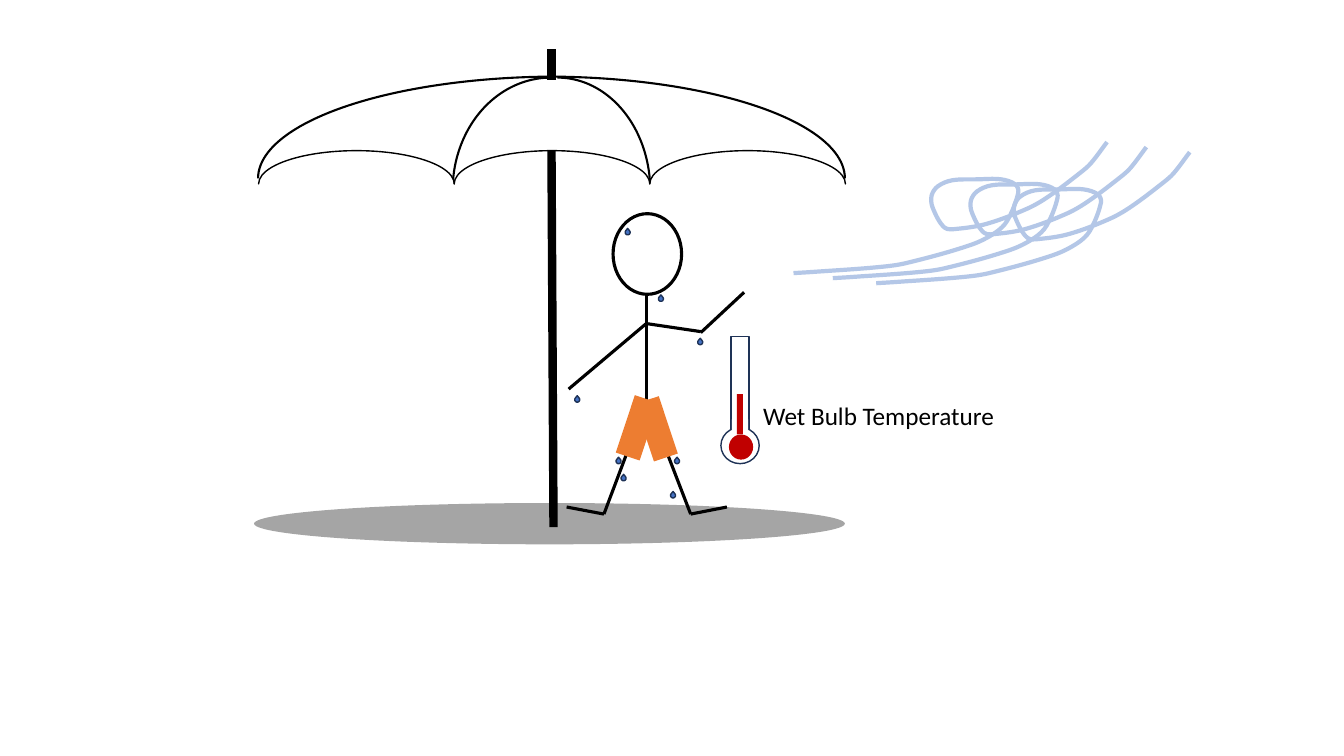
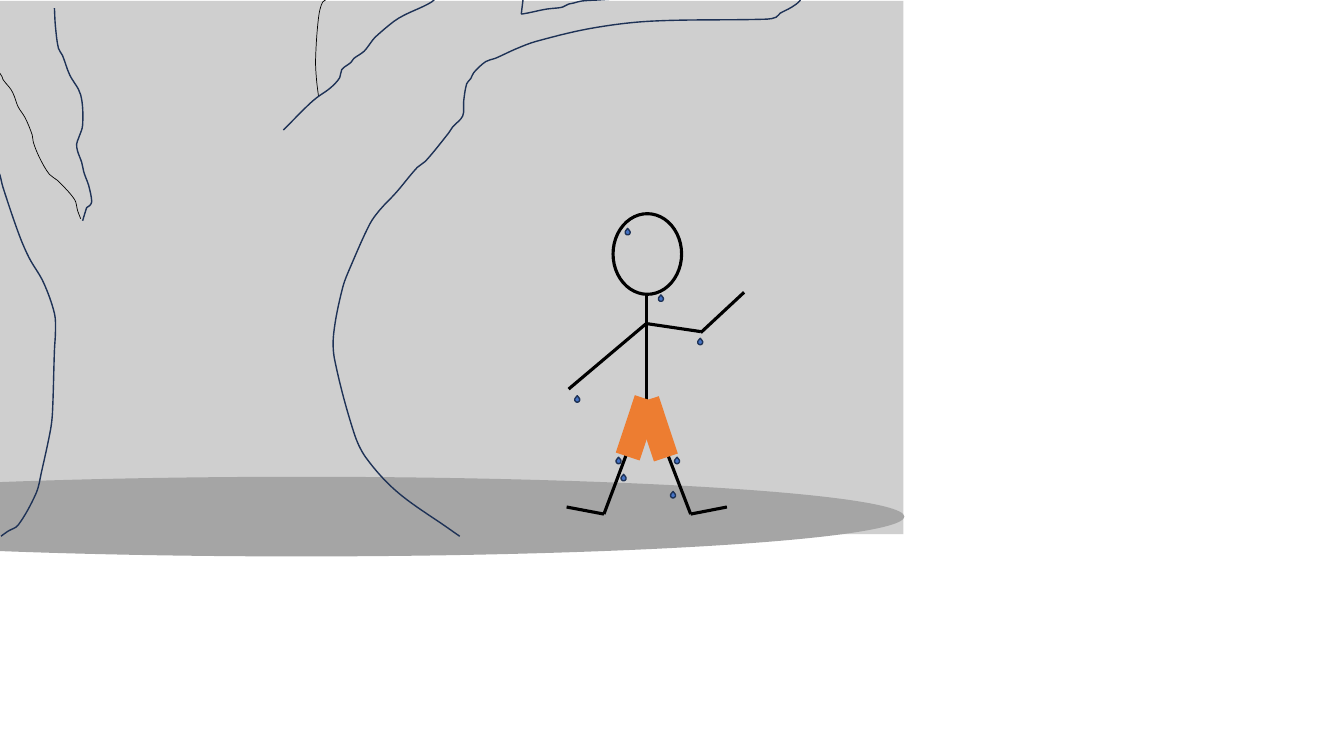
from dataclasses import dataclass
from math import dist

from lxml import etree
from pptx import Presentation
from pptx.dml.color import RGBColor
from pptx.enum import shapes, text
from pptx.oxml import ns
from pptx.util import Inches, Pt

KIND = shapes.MSO_SHAPE


@dataclass(frozen=True)
class Theme:
    black: str = "000000"
    white: str = "FFFFFF"
    ground: str = "A5A5A5"
    shade: str = "7F7F7F"
    shorts: str = "ED7D31"
    sweat: str = "4472C4"
    navy: str = "1E3256"
    wind: str = "B4C7E7"
    mercury: str = "C00000"
    font: str = "Calibri"
    label: float = 18
    hair: float = 0.5
    thin: float = 1
    rib: float = 1.5
    limb: float = 2.25
    gust: float = 3
    pole: float = 6


THEME = Theme()

SWEAT_DROPS = [(6.2, 2.28), (6.69, 4.55), (6.11, 4.55), (6.16, 4.72),
               (6.92, 3.37), (5.7, 3.94), (6.53, 2.94), (6.65, 4.89)]

LIMBS = [
    ((6.41, 2.92), (6.41, 4.04)),
    ((6.4, 4.01), (5.99, 5.1)), ((5.62, 5.03), (5.99, 5.1)),
    ((6.43, 4.01), (6.85, 5.1)), ((7.21, 5.03), (6.85, 5.1)),
]
ARMS = [((6.41, 3.21), (5.64, 3.86)), ((6.41, 3.21), (6.95, 3.29)),
        ((6.95, 3.3), (7.38, 2.9))]

GUST = [
    (10.98, 1.41), (10.82, 1.62), (10.72, 1.71), (10.4, 1.95), (10.19, 2.07),
    (9.79, 2.22), (9.5, 2.27), (9.37, 2.26), (9.25, 2.06), (9.24, 1.94),
    (9.3, 1.85), (9.44, 1.79), (9.69, 1.78), (9.93, 1.78), (10.07, 1.83),
    (10.1, 1.91), (9.99, 2.19), (9.87, 2.31), (9.63, 2.43), (8.99, 2.61),
    (8.72, 2.65), (8.04, 2.7), (7.87, 2.71),
]

TRUNK_RIGHT = [
    (4.56, 5.32), (4.46, 5.25), (3.94, 4.88), (3.63, 4.54), (3.51, 4.29),
    (3.32, 3.57), (3.31, 3.31), (3.4, 2.85), (3.48, 2.64),
    (3.67, 2.22), (3.77, 2.08), (3.93, 1.91), (4.14, 1.66), (4.22, 1.6),
    (4.45, 1.32), (4.49, 1.26), (4.59, 1.15), (4.6, 1), (4.63, 0.83),
    (4.67, 0.78), (4.7, 0.72), (4.82, 0.61), (4.91, 0.58), (5.13, 0.48),
    (5.32, 0.41), (5.87, 0.28), (6.46, 0.21), (7.61, 0.19), (7.7, 0.17),
    (7.74, 0.13), (7.82, 0.09), (7.9, 0.04), (7.94, 0),
]
TRUNK_LEFT = [
    (0.01, 5.32), (0.08, 5.27), (0.18, 5.21), (0.36, 4.89),
    (0.41, 4.69), (0.5, 4.27), (0.52, 4.1), (0.54, 3.47), (0.55, 3.29),
    (0.54, 3.11), (0.43, 2.8), (0.29, 2.56), (0.19, 2.33), (0.03, 1.86),
    (0, 1.74), (-0.02, 1.69), (-0.08, 1.47), (-0.1, 1.38), (-0.15, 1.28),
]
FORK_LEFT = [
    (0.8, 2.17), (0.77, 2.09), (0.74, 1.98), (0.57, 1.79), (0.49, 1.73),
    (0.39, 1.56), (0.33, 1.41), (0.32, 1.34), (0.25, 1.17), (0.18, 1.06),
    (0.14, 0.95), (0.11, 0.89), (0.03, 0.79), (0.02, 0.76), (-0.02, 0.7),
]
FORK_RIGHT = [
    (0.82, 2.19), (0.85, 2.09), (0.86, 2.06), (0.89, 2.04), (0.91, 2),
    (0.88, 1.84), (0.85, 1.76), (0.83, 1.7), (0.81, 1.61), (0.77, 1.5),
    (0.76, 1.43), (0.78, 1.37), (0.82, 1.24), (0.8, 0.94), (0.69, 0.74),
    (0.62, 0.55), (0.58, 0.48), (0.55, 0.26), (0.54, 0.08),
]
TWIG = [
    (3.16, 0.96), (3.14, 0.8), (3.13, 0.59), (3.16, 0.17), (3.2, 0.02),
    (3.26, -0.02), (3.32, -0.11), (3.33, -0.2), (3.41, -0.41),
    (3.45, -0.53), (3.47, -1.33),
]
BRANCH = [
    (2.81, 1.29), (3.06, 1.04), (3.14, 0.97), (3.28, 0.87),
    (3.37, 0.77), (3.39, 0.69), (3.48, 0.62), (3.51, 0.58), (3.61, 0.51),
    (3.68, 0.42), (3.72, 0.37), (3.91, 0.21), (4.01, 0.15), (4.28, 0.02),
    (4.35, -0.06), (4.39, -0.13),
]
BOUGH = [
    (5.17, 0.14), (5.23, 0.13), (5.42, 0.09), (5.52, 0.08), (5.58, 0.07),
    (5.64, 0.04), (5.69, 0.03), (5.77, 0.01), (5.93, 0), (6.09, -0.01),
]
BOUGH_END = [(5.17, 0.14), (5.19, -0.02), (5.2, -0.08), (5.23, -0.11), (5.29, -0.08)]


def bezier_points(knots):
    """Two control points and the end of each cubic of a smooth curve."""
    tangents = []
    for i, knot in enumerate(knots):
        before, after = knots[max(i - 1, 0)], knots[min(i + 1, len(knots) - 1)]
        span = dist(before, knot) + dist(knot, after)
        tangents.append([(b - a) / span for a, b in zip(before, after)])
    points = []
    for i, (start, end) in enumerate(zip(knots, knots[1:])):
        reach = dist(start, end) / 3
        points.append([a + reach * u for a, u in zip(start, tangents[i])])
        points.append([b - reach * v for b, v in zip(end, tangents[i + 1])])
        points.append(end)
    return points


class Sketch:
    def __init__(self, deck, theme):
        self.deck = deck
        self.theme = theme
        self.page = None

    def new_page(self):
        self.page = self.deck.slides.add_slide(self.deck.slide_layouts[6])

    def paint(self, shape, fill, line, width, alpha=None):
        shape.shadow.inherit = False
        if fill:
            shape.fill.solid()
            shape.fill.fore_color.rgb = RGBColor.from_string(fill)
            if alpha:
                color = shape.fill._xPr.find(".//" + ns.qn("a:srgbClr"))
                etree.SubElement(color, ns.qn("a:alpha"), val=str(alpha * 1000))
        else:
            shape.fill.background()
        if line:
            shape.line.color.rgb = RGBColor.from_string(line)
            shape.line.width = Pt(width)
        else:
            shape.line.fill.background()

    def shape(self, kind, box, fill=None, line=None, width=THEME.thin,
              turn=0, adjust=(), alpha=None):
        shape = self.page.shapes.add_shape(kind, *map(Inches, box))
        shape.rotation = turn
        for i, value in enumerate(adjust):
            shape.adjustments[i] = value
        self.paint(shape, fill, line, width, alpha)

    def arc(self, box, start, end):
        """Arc of the ellipse in box, clockwise in degrees from the right."""
        self.shape(KIND.ARC, box, line=self.theme.black, width=self.theme.rib,
                   adjust=(start * 0.6, end * 0.6))

    def line(self, start, end, width):
        line = self.page.shapes.add_connector(
            shapes.MSO_CONNECTOR.STRAIGHT, *map(Inches, start + end))
        line.line.color.rgb = RGBColor.from_string(self.theme.black)
        line.line.width = Pt(width)
        etree.SubElement(line._element.spPr, ns.qn("a:effectLst"))

    def curve(self, knots, color, width):
        """Open freeform whose segments are joined, three by three, into cubics."""
        builder = self.page.shapes.build_freeform(*map(Inches, knots[0]))
        builder.add_line_segments(
            [tuple(map(Inches, point)) for point in bezier_points(knots)], close=False)
        shape = builder.convert_to_shape()
        outline = shape._element.spPr.find(".//" + ns.qn("a:path"))
        segments = outline.findall(ns.qn("a:lnTo"))
        for i in range(0, len(segments), 3):
            cubic = etree.SubElement(outline, ns.qn("a:cubicBezTo"))
            for segment in segments[i:i + 3]:
                cubic.append(segment[0])
                outline.remove(segment)
        self.paint(shape, None, color, width)

    def label(self, words, box):
        frame = self.page.shapes.add_textbox(*map(Inches, box)).text_frame
        frame.word_wrap = True
        frame.auto_size = text.MSO_AUTO_SIZE.SHAPE_TO_FIT_TEXT
        span = frame.paragraphs[0].add_run()
        span.text = words
        span.font.name = self.theme.font
        span.font.size = Pt(self.theme.label)
        span.font.color.rgb = RGBColor.from_string(self.theme.black)

    def person(self):
        theme = self.theme
        self.shape(KIND.OVAL, (6.02, 2.18, 0.8, 0.68), line=theme.black,
                   width=theme.limb, turn=90)
        for start, end in LIMBS:
            self.line(start, end, theme.limb)
        for left, top, turn in ((6.02, 4.12, 108.4), (6.21, 4.13, 71.6)):
            self.shape(KIND.RECTANGLE, (left, top, 0.6, 0.25), theme.shorts, turn=turn)
        for start, end in ARMS:
            self.line(start, end, theme.limb)
        for left, top in SWEAT_DROPS:
            self.shape(KIND.TEAR, (left, top, 0.05, 0.05), theme.sweat, theme.navy,
                       turn=314.9, adjust=(1.11,))

    def umbrella(self):
        theme = self.theme
        self.line((5.47, 1.5), (5.49, 5.23), theme.pole)
        for scallop in range(3):
            self.shape(KIND.MOON, (7.25 - 1.94 * scallop, 0.69, 0.33, 1.94),
                       theme.black, theme.black, turn=90, adjust=(0,))
        self.arc((2.44, 0.76, 5.94, 2.02), 273.67, 0)
        self.arc((2.56, 0.76, 5.94, 2.02), 180, 266.33)
        self.arc((4.61, 0.77, 1.84, 2.24), 270, 353.85)
        self.arc((4.49, 0.77, 1.95, 2.23), 186.15, 270)
        self.line((5.47, 0.49), (5.47, 0.79), theme.pole)

    def thermometer(self):
        theme = self.theme
        self.shape(KIND.OVAL, (7.15, 4.24, 0.38, 0.36), theme.white, theme.navy)
        self.shape(KIND.OVAL, (7.23, 4.31, 0.24, 0.25), theme.mercury)
        self.shape(KIND.RECTANGLE, (7.25, 3.34, 0.18, 0.92), theme.white, theme.navy)
        self.shape(KIND.RECTANGLE, (7.26, 4.16, 0.16, 0.15), theme.white)
        self.shape(KIND.RECTANGLE, (7.31, 3.91, 0.06, 0.4), theme.mercury)

    def wind(self):
        for right, down in ((0, 0), (0.39, 0.05), (0.82, 0.1)):
            self.curve([(x + right, y + down) for x, y in GUST],
                       self.theme.wind, self.theme.gust)

    def tree(self):
        navy, black = ((self.theme.navy, self.theme.thin),
                       (self.theme.black, self.theme.hair))
        for knots, pen in ((TRUNK_RIGHT, navy), (TRUNK_LEFT, navy), (FORK_LEFT, black),
                           (FORK_RIGHT, navy), (TWIG, black), (BRANCH, navy),
                           (BOUGH, navy), (BOUGH_END, navy)):
            self.curve(knots, *pen)


def main():
    deck = Presentation()
    deck.slide_width, deck.slide_height = Inches(13.33), Inches(7.5)
    sketch = Sketch(deck, THEME)

    sketch.new_page()
    sketch.shape(KIND.OVAL, (2.52, 4.99, 5.86, 0.41), THEME.ground)
    sketch.umbrella()
    sketch.person()
    sketch.wind()
    sketch.thermometer()
    sketch.label("Wet Bulb Temperature", (7.47, 3.92, 2.63, 0.4))

    sketch.new_page()
    sketch.shape(KIND.RECTANGLE, (0, 0.01, 8.96, 5.29), THEME.shade, alpha=37)
    sketch.shape(KIND.OVAL, (-2.99, 4.73, 11.96, 0.79), THEME.ground)
    sketch.person()
    sketch.tree()

    deck.save("out.pptx")


if __name__ == "__main__":
    main()
